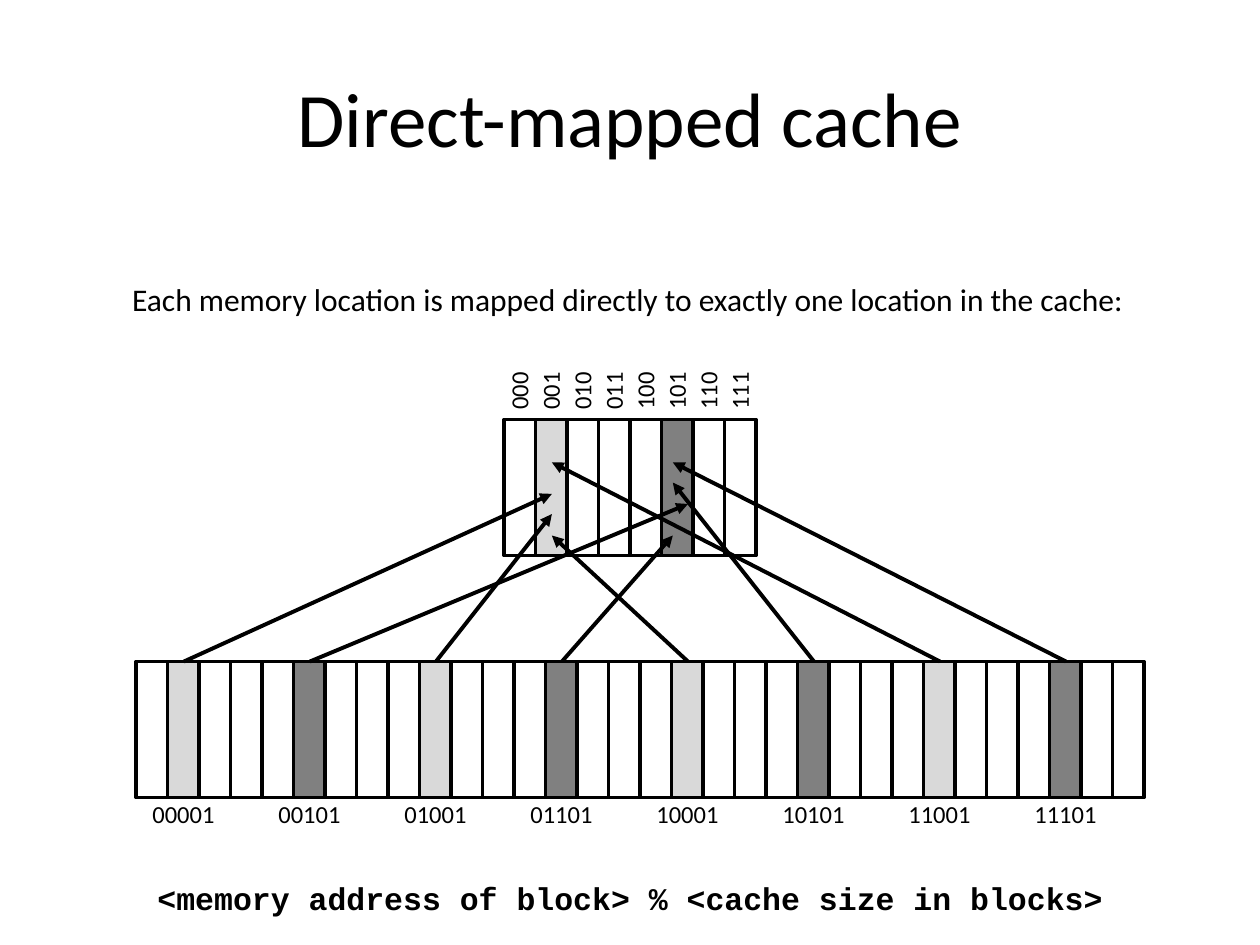
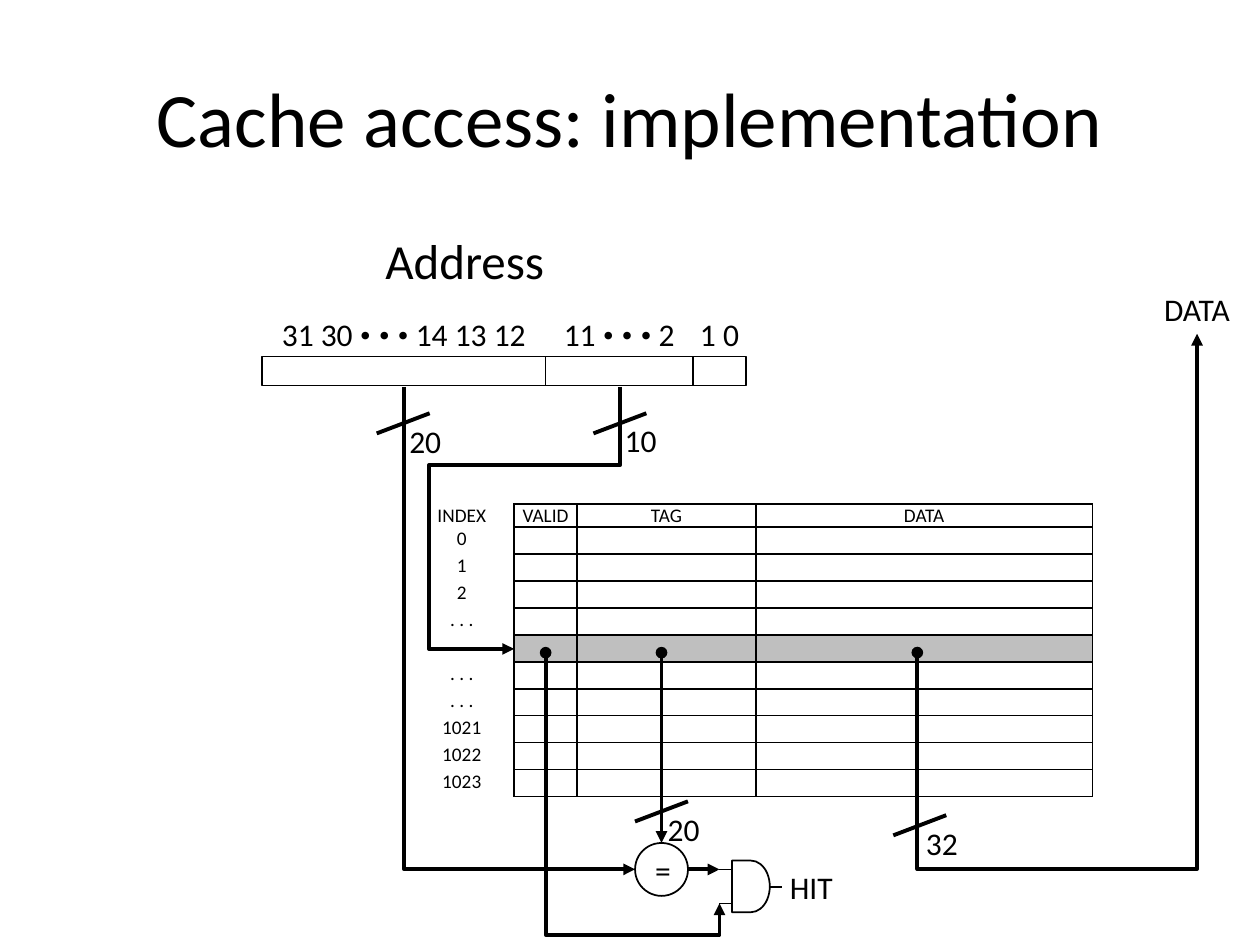
from lxml.etree import SubElement
from pptx import Presentation
from pptx.dml.color import RGBColor
from pptx.enum.shapes import MSO_CONNECTOR as LINE, MSO_SHAPE as SHAPE
from pptx.enum.text import MSO_ANCHOR as ANCHOR, MSO_AUTO_SIZE as AUTO, PP_ALIGN as ALIGN
from pptx.oxml.ns import qn
from pptx.util import Inches, Pt

COLORS = {"ink": "000000", "light": "D9D9D9", "dark": "808080", "selected": "BFBFBF"}
INK = RGBColor.from_string(COLORS["ink"])
DOTS = "• • •"


def write_text(frame, text, size=18, font="Calibri", align=ALIGN.CENTER, bold=None):
    para = frame.paragraphs[0]
    para.alignment = align
    para.font.size = Pt(size)
    para.font.name = font
    para.font.bold = bold
    para.font.color.rgb = INK
    for part in filter(None, text.partition(DOTS)):
        span = para.add_run()
        span.text = part
        if part == DOTS:
            span.font.name = "Times New Roman"


def draw_line(page, start, end, width=2.25, head=None, tail=None, kind=LINE.STRAIGHT):
    line = page.shapes.add_connector(kind, *[Inches(value) for value in (*start, *end)])
    line.line.color.rgb = INK
    line.line.width = Pt(width)
    properties = line._element.spPr
    for tag, ending in (("a:headEnd", head), ("a:tailEnd", tail)):
        if ending:
            SubElement(properties.get_or_add_ln(), qn(tag), type=ending)
    SubElement(properties, qn("a:effectLst"))
    return line


deck = Presentation()
deck.slide_width, deck.slide_height = Inches(10), Inches(7.5)
pages = []
for title in ("Direct-mapped cache", "Cache access: implementation"):
    page = deck.slides.add_slide(deck.slide_layouts[5])
    box = page.shapes.title
    box.left, box.top, box.width, box.height = [Inches(value) for value in (0.5, 0.3, 9, 1.25)]
    box.text_frame.vertical_anchor = ANCHOR.MIDDLE
    write_text(box.text_frame, title, 44)
    pages.append(page)
mapping, access = pages

block_width = 0.25
block_fills = {1: "light", 5: "dark"}
outlines = [
    (mapping, SHAPE.RECTANGLE, left + index * block_width, top, block_width, 1.08, 2,
     block_fills.get(index % 8))
    for left, top, count in ((4, 3.33, 8), (1.08, 5.25, 32))
    for index in range(count)
]
outlines += [
    (access, SHAPE.RECTANGLE, left, 2.83, width, 0.23, 1, None)
    for left, width in ((5.5, 0.42), (4.33, 1.17), (2.08, 2.25))
]
outlines += [
    (access, SHAPE.FLOWCHART_DELAY, 5.81, 6.83, 0.3, 0.41, 1, None),
    (access, SHAPE.OVAL, 5.04, 6.69, 0.42, 0.42, 1, None),
]
for page, preset, left, top, width, height, weight, fill in outlines:
    shape = page.shapes.add_shape(preset, *[Inches(value) for value in (left, top, width, height)])
    shape.shadow.inherit = False
    shape.line.color.rgb = INK
    shape.line.width = Pt(weight)
    if fill:
        shape.fill.solid()
        shape.fill.fore_color.rgb = RGBColor.from_string(COLORS[fill])
    else:
        shape.fill.background()
comparator = shape
comparator.text_frame.vertical_anchor = ANCHOR.MIDDLE
write_text(comparator.text_frame, "=")

plain_labels = [
    (mapping, "Each memory location is mapped directly to exactly one location in the cache:",
     0.95, 2.17, 8.1, 0.4, 18),
    (access, "Address", 2.96, 1.78, 1.48, 0.57, 28),
    (access, "HIT", 6.17, 6.84, 0.55, 0.4, 18),
    (access, "DATA", 9.14, 2.25, 0.73, 0.4, 18),
    (access, "10", 4.86, 3.29, 0.48, 0.4, 18),
    (access, "20", 3.15, 3.3, 0.48, 0.4, 18),
    (access, "20", 5.2, 6.38, 0.48, 0.4, 18),
    (access, "32", 7.25, 6.49, 0.48, 0.4, 18),
]
for page, text, left, top, width, height, size in plain_labels:
    box = page.shapes.add_textbox(*[Inches(value) for value in (left, top, width, height)])
    box.text_frame.word_wrap = False
    box.text_frame.auto_size = AUTO.SHAPE_TO_FIT_TEXT
    write_text(box.text_frame, text, size, align=ALIGN.LEFT)

tight_labels = [
    (mapping, f"{index:03b}", 3.97 + index * block_width, 2.98, 0.3, 0.24, 14, 270)
    for index in range(8)
]
tight_labels += [
    (mapping, f"{1 + 4 * index:05b}", 1.21 + index, 6.34, 0.5, 0.24, 14, 0)
    for index in range(8)
]
tight_labels += [
    (access, f"31 30 {DOTS} 14 13 12", 2.08, 2.5, 2.25, 0.3, 18, 0),
    (access, f"11 {DOTS} 2", 4.33, 2.5, 1.17, 0.3, 18, 0),
    (access, "1 0", 5.5, 2.5, 0.42, 0.3, 18, 0),
]
for page, text, left, top, width, height, size, rotation in tight_labels:
    box = page.shapes.add_textbox(*[Inches(value) for value in (left, top, width, height)])
    box.rotation = rotation
    frame = box.text_frame
    frame.margin_left = frame.margin_right = frame.margin_top = frame.margin_bottom = 0
    frame.word_wrap = page is access
    frame.auto_size = AUTO.SHAPE_TO_FIT_TEXT
    write_text(frame, text, size, align=ALIGN.CENTER if page is access else ALIGN.LEFT)

formula = mapping.shapes.add_textbox(Inches(0.95), Inches(6.93), Inches(8.1), Inches(0.4))
formula.text_frame.word_wrap = True
write_text(formula.text_frame, "<memory address of block> % <cache size in blocks>",
           font="Courier New", bold=True)

cache_targets = [(4.38, 3.92), (5.46, 4), (4.38, 4.08), (5.34, 4.25),
                 (4.38, 4.25), (5.34, 3.83), (4.38, 3.67), (5.34, 3.67)]
for index, target in enumerate(cache_targets):
    draw_line(mapping, (1.46 + index, 5.25), target, tail="triangle")

headings = ["VALID", "TAG", "DATA"]
indexes = ["INDEX", "0", "1", "2", ". . .", "", ". . .", ". . .", "1021", "1022", "1023"]
selected_row = 5
table = access.shapes.add_table(len(indexes), 4, Inches(3.25), Inches(4),
                                Inches(5.42), Inches(2.33)).table
table.first_row = table.horz_banding = False
for column, width in zip(table.columns, (0.83, 0.5, 1.42, 2.67)):
    column.width = Inches(width)
for row_number, index in enumerate(indexes):
    table.rows[row_number].height = Inches(2.14 / 10 if row_number else 0.05)
    texts = [index] + (headings if row_number == 0 else [""] * 3)
    for column_number, text in enumerate(texts):
        cell = table.cell(row_number, column_number)
        cell.margin_left = cell.margin_right = cell.margin_top = cell.margin_bottom = 0
        write_text(cell.text_frame, text, 11)
        if not text:
            SubElement(cell.text_frame.paragraphs[0]._p, qn("a:endParaRPr"), sz="1100")
        for side in "LRTB" if column_number else "R":
            border = SubElement(cell._tc.get_or_add_tcPr(), qn(f"a:ln{side}"), w=str(Pt(1)))
            paint = SubElement(border, qn("a:solidFill"))
            SubElement(paint, qn("a:srgbClr"), val=COLORS["ink"])
        if row_number == selected_row and column_number:
            cell.fill.solid()
            cell.fill.fore_color.rgb = RGBColor.from_string(COLORS["selected"])
        else:
            cell.fill.background()

for left, right, level in ((6.11, 6.21, 7.04), (5.71, 5.81, 6.9), (5.71, 5.81, 7.17)):
    draw_line(access, (left, level), (right, level), 1)
draw_line(access, (5.25, 5.18), (5.25, 6.69), head="oval", tail="triangle")
draw_line(access, (5.46, 6.9), (5.71, 6.9), tail="triangle")
for left, top in ((2.99, 3.28), (4.71, 3.28), (5.04, 6.36), (7.09, 6.47)):
    draw_line(access, (left + 0.42, top), (left, top + 0.16))

bent_wires = [
    ((3.21, 3.07), (5.04, 6.9), 270, None, 2, {}),
    ((4.33, 5.18), (5.71, 7.17), 270, "oval", 3, {"adj1": 112500}),
    ((7.28, 5.18), (9.5, 2.65), 90, "oval", 3, {"adj1": -67900}),
    ((4.92, 3.07), (4.08, 5.15), 90, None, 4, {"adj1": 29900, "adj2": 180200}),
]
for (x1, y1), (x2, y2), rotation, head, segments, adjustments in bent_wires:
    middle_x, middle_y = (x1 + x2) / 2, (y1 + y2) / 2
    turn = 1 if rotation == 90 else -1
    across, down = turn * (y1 - middle_y), turn * (middle_x - x1)
    wire = draw_line(access, (middle_x + across, middle_y + down),
                     (middle_x - across, middle_y - down),
                     head=head, tail="triangle", kind=LINE.ELBOW)
    properties = wire._element.spPr
    properties.find(qn("a:xfrm")).set("rot", str(rotation * 60000))
    geometry = properties.find(qn("a:prstGeom"))
    geometry.set("prst", f"bentConnector{segments}")
    guides = geometry.find(qn("a:avLst"))
    for name, value in adjustments.items():
        SubElement(guides, qn("a:gd"), name=name, fmla=f"val {value}")

deck.save("out.pptx")
